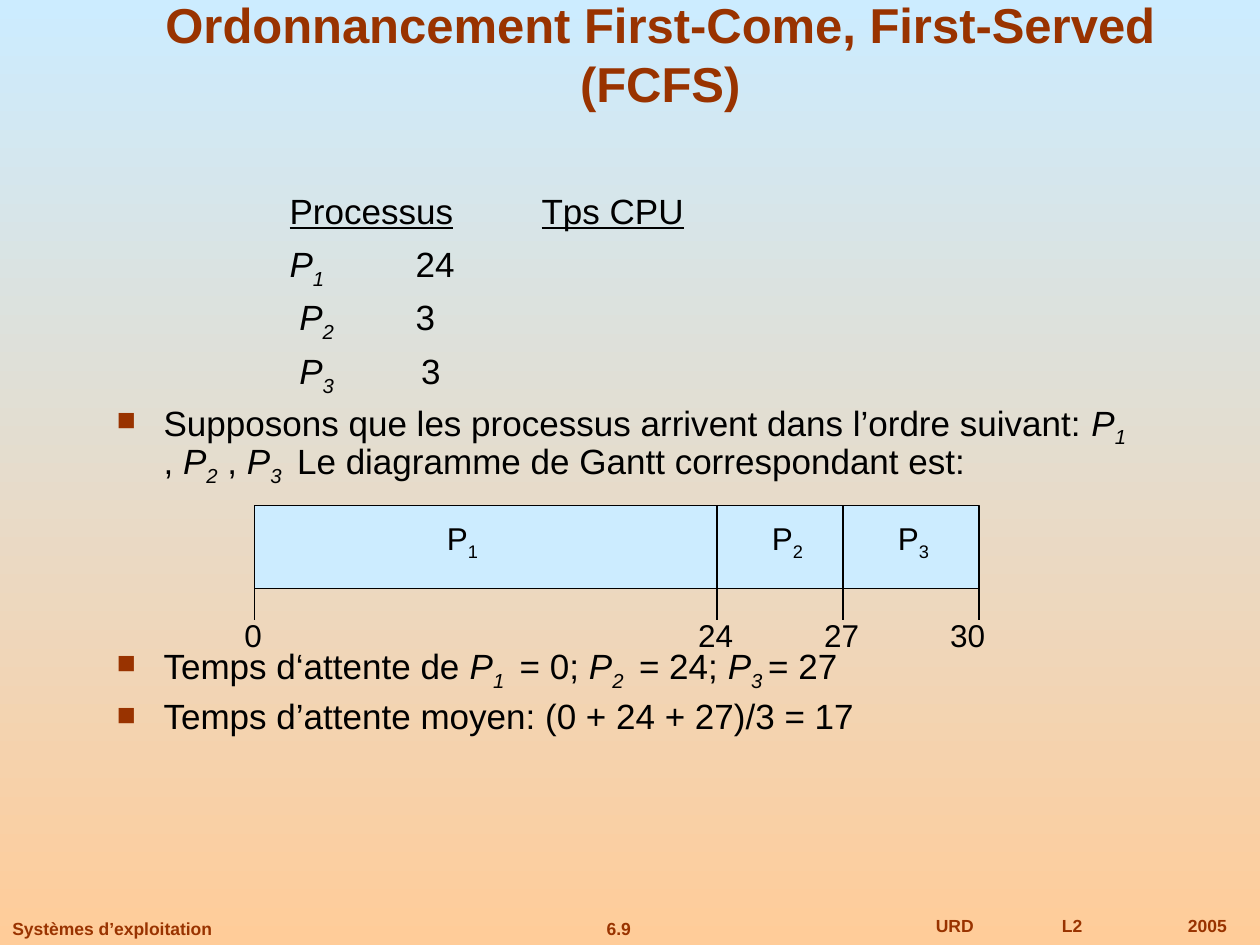
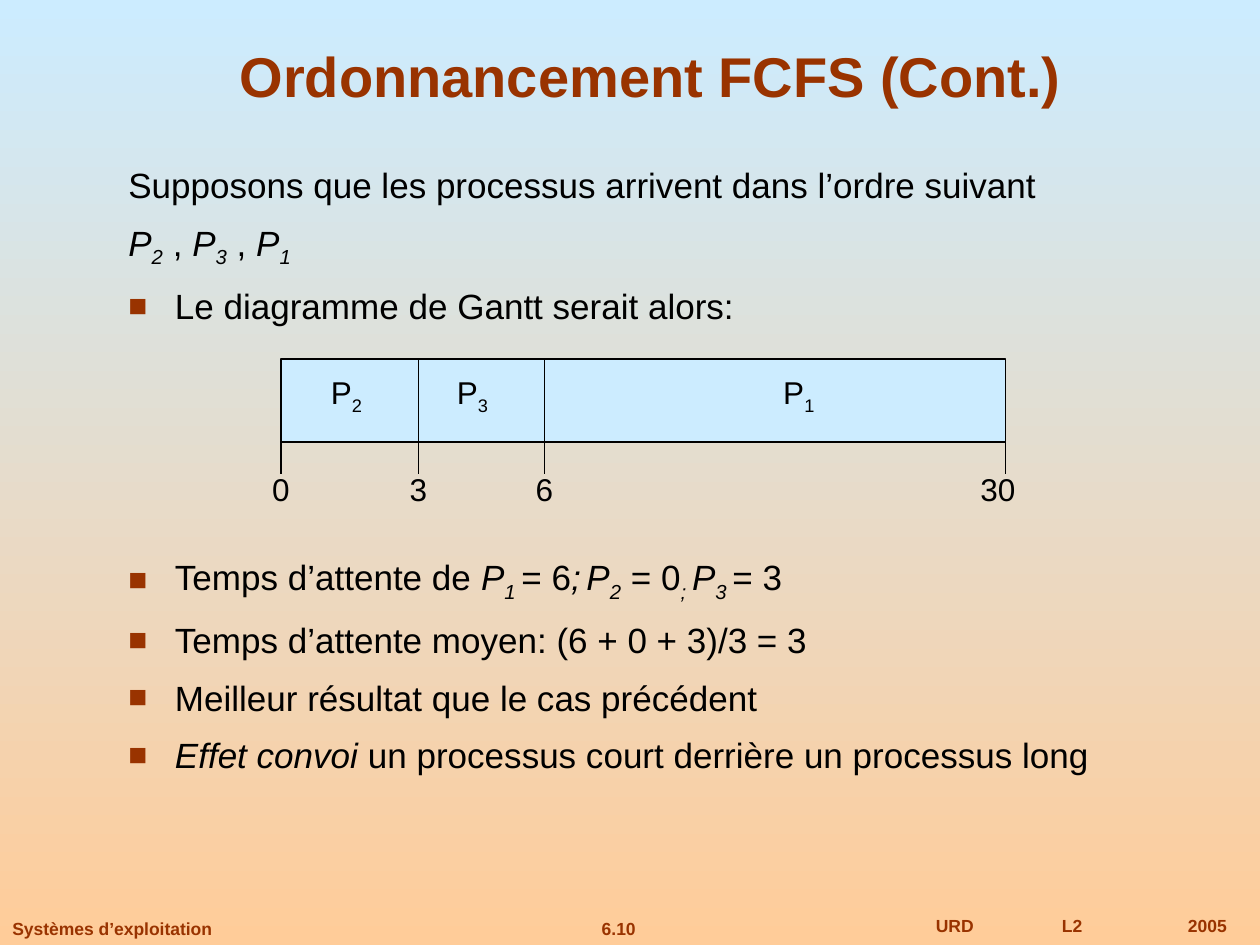
"""Two slides on first-come, first-served scheduling, each with a Gantt bar."""
from lxml import etree
from pptx import Presentation
from pptx.dml.color import RGBColor
from pptx.enum.shapes import MSO_CONNECTOR, MSO_SHAPE
from pptx.enum.text import MSO_ANCHOR, PP_ALIGN
from pptx.oxml.ns import qn
from pptx.util import Inches, Pt

LEFT, MID = PP_ALIGN.LEFT, PP_ALIGN.CENTER
TOP, CORE, LOW = MSO_ANCHOR.TOP, MSO_ANCHOR.MIDDLE, MSO_ANCHOR.BOTTOM
RECT, LINE = MSO_SHAPE.RECTANGLE, MSO_CONNECTOR.STRAIGHT

THEME = {
    "font": "Arial", "ink": RGBColor(0, 0, 0), "rust": RGBColor(0x99, 0x33, 0),
    "sky": RGBColor(0xCC, 0xEC, 0xFF), "sand": RGBColor(0xFF, 0xCC, 0x99),
    "body": 20, "label": 18, "foot": 10, "rule": 0.75,
}
BODY = {"size": Pt(THEME["body"]), "color": THEME["ink"], "bold": False}
LABEL = BODY | {"size": Pt(THEME["label"])}
FOOT = {"size": Pt(THEME["foot"]), "color": THEME["rust"], "bold": True}
MARKS = {
    "/": {"italic": True}, "_": {"underline": True},
    "~": {"italic": True, "base": "-25000"}, "^": {"base": "-25000"},
}

PAGES = [
    {
        "no": "6.9",
        "title": "Ordonnancement First-Come, First-Served (FCFS)",
        "size": 28, "place": (0.68, 0.44, 9.12, 0.5), "lead": 0.8,
        "texts": [
            ((2.2, 1.52, 5, 1.7), [
                "_Processus|\t|_Tps CPU",
                "/P|~1\t|24",
                " |/P|~2\t|3",
                " |/P|~3\t |3"]),
            ((0.83, 3.17, 8.27, 0.7), [
                "■Supposons que les processus arrivent dans l’ordre suivant: "
                "|/P|~1| , |/P|~2| , |/P|~3 | Le diagramme de Gantt correspondant est:"]),
            ((0.83, 5.1, 8.27, 0.9), [
                "■Temps d‘attente de |/P|~1 | = 0; |/P|~2 | = 24; |/P|~3 |= 27",
                "■Temps d’attente moyen: (0 + 24 + 27)/3 = 17"]),
        ],
        "bar": 4.01, "edges": [2.02, 5.69, 6.69, 7.77],
        "jobs": [("1", 3.67), ("2", 6.25), ("3", 7.25)],
        "times": [("0", 2.01), ("24", 5.68), ("27", 6.68), ("30", 7.68)],
    },
    {
        "no": "6.10",
        "title": "Ordonnancement FCFS (Cont.)",
        "size": 32, "place": (0.75, 0.24, 8.83, 0.67), "lead": 1.0,
        "texts": [
            ((0.92, 1.25, 8.58, 1.5), [
                "Supposons que les processus arrivent dans l’ordre suivant",
                "/P|~2| , |/P|~3| , |/P|~1",
                "■Le diagramme de Gantt serait alors:"]),
            ((0.92, 4.36, 8.58, 2), [
                "■Temps d’attente de |/P|~1 |= 6|/;|~ |/P|~2| = 0|~; |/P|~3 |= 3",
                "■Temps d’attente moyen: (6 + 0 + 3)/3 = 3",
                "■Meilleur résultat que le cas précédent",
                "■|/Effet convoi| un processus court derrière un processus long"]),
        ],
        "bar": 2.85, "edges": [2.23, 3.32, 4.32, 7.98],
        "jobs": [("2", 2.75), ("3", 3.75), ("1", 6.34)],
        "times": [("0", 2.23), ("3", 3.32), ("6", 4.32), ("30", 7.92)],
    },
]

deck = Presentation()
deck.slide_width, deck.slide_height = Inches(10), Inches(7.5)
COL, ROW = deck.slide_width / 10, deck.slide_height / 7.5


def grid(x, y, *size):
    """Turn columns and rows into slide units."""
    return [round(n * unit) for n, unit in zip((x, y, *size), (COL, ROW) * 2)]


def write(slide, place, lines, look, align=LEFT, anchor=TOP, lead=1.0):
    """Add a text box whose runs are split by bars and styled by marks."""
    frame = slide.shapes.add_textbox(*grid(*place)).text_frame
    frame.word_wrap, frame.vertical_anchor = True, anchor
    for row, line in enumerate(lines):
        para = frame.paragraphs[0] if row == 0 else frame.add_paragraph()
        para.alignment, para.line_spacing = align, lead
        para.space_before = Pt(8.8 if row else 0)
        props = para._p.get_or_add_pPr()
        if line.startswith("■"):
            hang = round(0.37 * COL)
            props.set("marL", str(hang))
            props.set("indent", str(-hang))
            tint = etree.SubElement(props, qn("a:buClr"))
            etree.SubElement(tint, qn("a:srgbClr"), val=str(THEME["rust"]))
            etree.SubElement(props, qn("a:buSzPct"), val="90000")
            etree.SubElement(props, qn("a:buFont"), typeface=THEME["font"])
            etree.SubElement(props, qn("a:buChar"), char="■")
        if "\t" in line:
            tabs = etree.SubElement(props, qn("a:tabLst"))
            for stop in (1, 2, 3):
                etree.SubElement(tabs, qn("a:tab"), pos=str(round(stop * COL)), algn="l")
        for part in filter(None, line.lstrip("■").split("|")):
            mark = MARKS.get(part[0], {})
            run = para.add_run()
            run.text = part[1:] if mark else part
            for key, val in ({"name": THEME["font"]} | look | mark).items():
                if key == "color":
                    run.font.color.rgb = val
                elif key == "base":
                    run._r.get_or_add_rPr().set("baseline", val)
                else:
                    setattr(run.font, key, val)


for page in PAGES:
    slide = deck.slides.add_slide(deck.slide_layouts[6])
    back = slide.background.fill
    back.gradient()
    back.gradient_angle = 270
    for stop, tone in zip(back.gradient_stops, (THEME["sky"], THEME["sand"])):
        stop.color.rgb = tone

    write(slide, (4.42, 7.24, 0.98, 0.26), [page["no"]], FOOT, MID)
    write(slide, (7.33, 7.21, 2.67, 0.27), ["URD\tL2\t2005"], FOOT)
    write(slide, (0, 7.24, 2, 0.26), ["Systèmes d’exploitation"], FOOT)
    write(slide, page["place"], [page["title"]],
          FOOT | {"size": Pt(page["size"])}, MID, LOW)
    for place, lines in page["texts"]:
        write(slide, place, lines, BODY, lead=page["lead"])

    top, edges = page["bar"], page["edges"]
    base, tip = top + 0.66, top + 0.91
    bar = slide.shapes.add_shape(RECT, *grid(edges[0], top, edges[-1] - edges[0], 0.66))
    bar.shadow.inherit = False
    bar.fill.solid()
    bar.fill.fore_color.rgb = THEME["sky"]
    rules = [bar.line]
    spans = [(edge, base, tip) for edge in edges]
    spans += [(edge, top, base) for edge in edges[1:-1]]
    for edge, start, end in spans:
        tick = slide.shapes.add_connector(LINE, *grid(edge, start, edge, end))
        etree.SubElement(tick._element.spPr, qn("a:effectLst"))
        rules.append(tick.line)
    for rule in rules:
        rule.color.rgb, rule.width = THEME["ink"], Pt(THEME["rule"])
    for job, mid in page["jobs"]:
        write(slide, (mid - 0.3, top + 0.06, 0.6, 0.44), [f"P|^{job}"], LABEL, MID, CORE)
    for time, mid in page["times"]:
        write(slide, (mid - 0.3, top + 0.83, 0.6, 0.4), [time], LABEL, MID, CORE)

deck.save("out.pptx")
